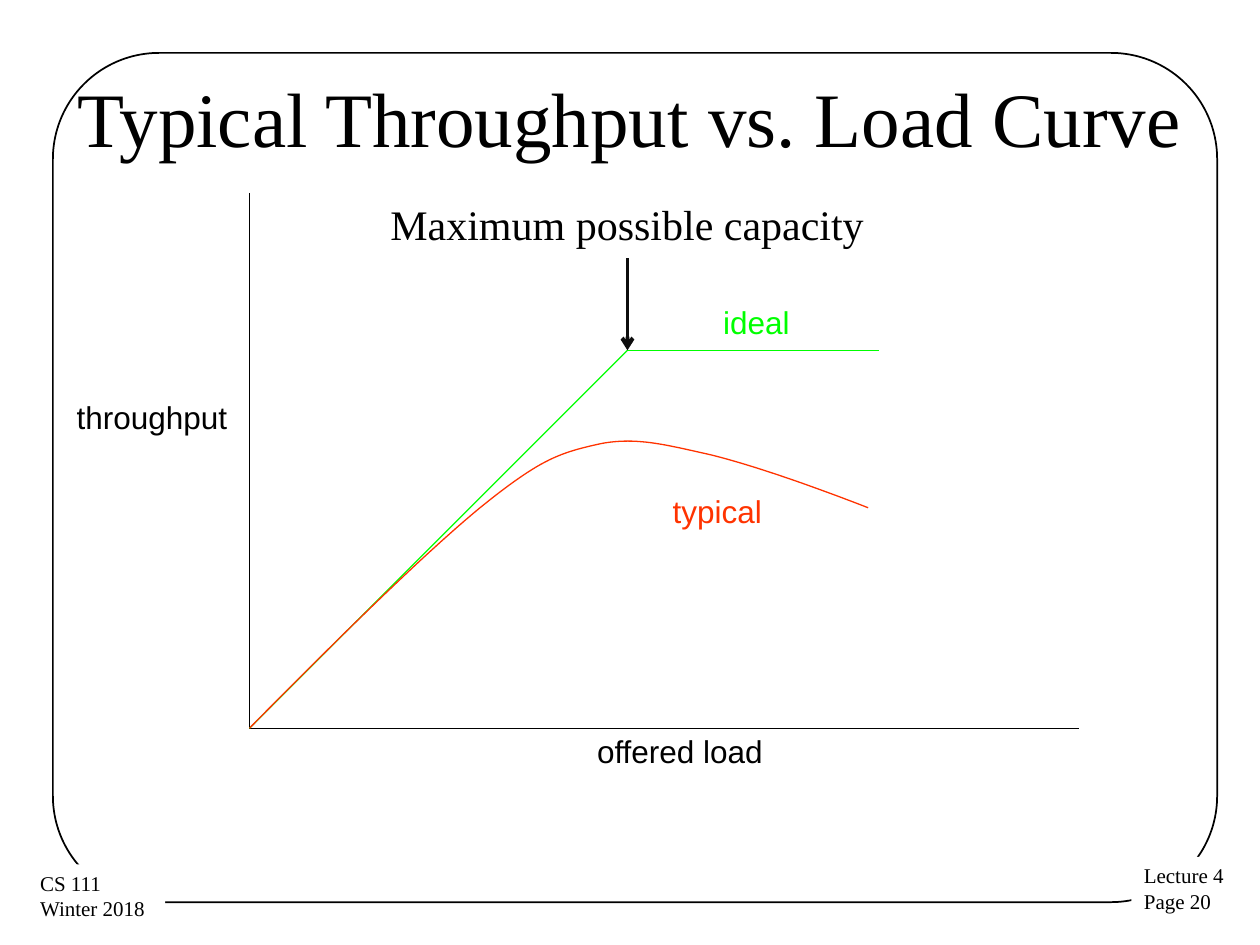
from dataclasses import dataclass

from lxml.etree import SubElement
from pptx import Presentation
from pptx.dml.color import RGBColor
from pptx.enum.shapes import MSO_CONNECTOR, MSO_SHAPE
from pptx.enum.text import MSO_ANCHOR, MSO_AUTO_SIZE, PP_ALIGN
from pptx.oxml.ns import qn
from pptx.util import Inches, Pt

COLORS = {
    "white": "FFFFFF",
    "black": "000000",
    "arrow": "0D0D0D",
    "ideal": "00FF00",
    "typical": "FF3300",
}
SERIF, SANS = "Times New Roman", "Arial"

Point = tuple[float, float]


@dataclass
class Label:
    text: str
    left: float
    top: float
    width: float
    height: float
    size: int = 18
    font: str = SANS
    color: str = "black"
    align: PP_ALIGN = PP_ALIGN.LEFT
    fill: str | None = None
    grow: bool = True


@dataclass
class Line:
    start: Point
    end: Point
    color: str = "black"
    width: float = 0.75
    arrow: bool = False


ORIGIN = (1.98, 5.78)
KNEE = (4.98, 2.78)

FOOTERS = [
    Label("Lecture 4\nPage 20", 8.98, 6.8, 0.85, 0.51, 12, SERIF, fill="white"),
    Label("CS 111\nWinter 2018", 0.22, 6.86, 1.09, 0.51, 12, SERIF, fill="white"),
]
LABELS = [
    Label("Typical Throughput vs. Load Curve", 0.5, 0.3, 9, 1.25, 44, SERIF,
          align=PP_ALIGN.CENTER, grow=False),
    Label("throughput ", 0.44, 3.11, 1.6, 0.43, align=PP_ALIGN.CENTER),
    Label("offered load", 4.64, 5.76, 1.67, 0.43),
    Label("ideal", 5.64, 2.36, 0.79, 0.43, color="ideal"),
    Label("typical", 5.24, 3.86, 0.99, 0.43, color="typical"),
    Label("Maximum possible capacity", 3, 1.53, 4, 0.5, 24, SERIF),
]
LINES = [
    Line((1.98, 1.53), ORIGIN),
    Line(ORIGIN, (8.56, 5.78)),
    Line(ORIGIN, KNEE, "ideal"),
    Line(KNEE, (6.98, 2.78), "ideal"),
]
CAPACITY_ARROW = Line((4.98, 2.05), KNEE, "arrow", 2.25, True)
TYPICAL_CURVE = [
    ((2.66, 5.09), (3.35, 4.41), (3.81, 4.03)),
    ((4.27, 3.66), (4.42, 3.6), (4.73, 3.53)),
    ((5.03, 3.46), (5.28, 3.53), (5.64, 3.61)),
    ((6, 3.7), (6.45, 3.86), (6.89, 4.03)),
]


def rgb(name: str) -> RGBColor:
    return RGBColor.from_string(COLORS[name])


def add_label(s, label: Label) -> None:
    sp = s.shapes.add_textbox(Inches(label.left), Inches(label.top),
                              Inches(label.width), Inches(label.height))
    if label.fill:
        sp.fill.solid()
        sp.fill.fore_color.rgb = rgb(label.fill)
    tf = sp.text_frame
    tf.text = label.text
    tf.word_wrap = not label.grow
    if label.grow:
        tf.auto_size = MSO_AUTO_SIZE.SHAPE_TO_FIT_TEXT
    else:
        tf.vertical_anchor = MSO_ANCHOR.MIDDLE
    for p in tf.paragraphs:
        p.alignment = label.align
        for r in p.runs:
            r.font.size = Pt(label.size)
            r.font.name = label.font
            r.font.color.rgb = rgb(label.color)


def add_line(s, line: Line) -> None:
    cx = s.shapes.add_connector(MSO_CONNECTOR.STRAIGHT,
                                *map(Inches, line.start + line.end))
    cx.line.color.rgb = rgb(line.color)
    cx.line.width = Pt(line.width)
    if line.arrow:
        SubElement(cx.line._get_or_add_ln(), qn("a:tailEnd"), type="arrow")
    SubElement(cx._element.spPr, qn("a:effectLst"))


def bezier(p0: Point, p1: Point, p2: Point, p3: Point, steps: int = 24) -> list[Point]:
    points = []
    for i in range(1, steps + 1):
        t = i / steps
        u = 1 - t
        points.append(tuple(
            u**3 * a + 3 * u**2 * t * b + 3 * u * t**2 * c + t**3 * d
            for a, b, c, d in zip(p0, p1, p2, p3)))
    return points


def add_curve(s, start: Point, segments: list, color: str) -> None:
    points = [start]
    for segment in segments:
        points += bezier(points[-1], *segment)
    vertices = [(Inches(x), Inches(y)) for x, y in points]
    fb = s.shapes.build_freeform(*vertices[0])
    fb.add_line_segments(vertices[1:], close=False)
    sp = fb.convert_to_shape()
    sp.shadow.inherit = False
    sp.fill.background()
    sp.line.color.rgb = rgb(color)
    sp.line.width = Pt(0.75)


def add_frame(s) -> None:
    sp = s.shapes.add_shape(MSO_SHAPE.ROUNDED_RECTANGLE, Inches(0.42), Inches(0.42),
                            Inches(9.24), Inches(6.74))
    sp.adjustments[0] = 0.125
    sp.shadow.inherit = False
    sp.fill.background()
    sp.line.color.rgb = rgb("black")
    sp.line.width = Pt(1)


def main() -> None:
    prs = Presentation()
    prs.slide_width, prs.slide_height = Inches(10), Inches(7.5)
    s = prs.slides.add_slide(prs.slide_layouts[6])
    add_frame(s)
    for label in FOOTERS + LABELS:
        add_label(s, label)
    for line in LINES:
        add_line(s, line)
    add_curve(s, ORIGIN, TYPICAL_CURVE, "typical")
    add_line(s, CAPACITY_ARROW)
    prs.save("out.pptx")


if __name__ == "__main__":
    main()
